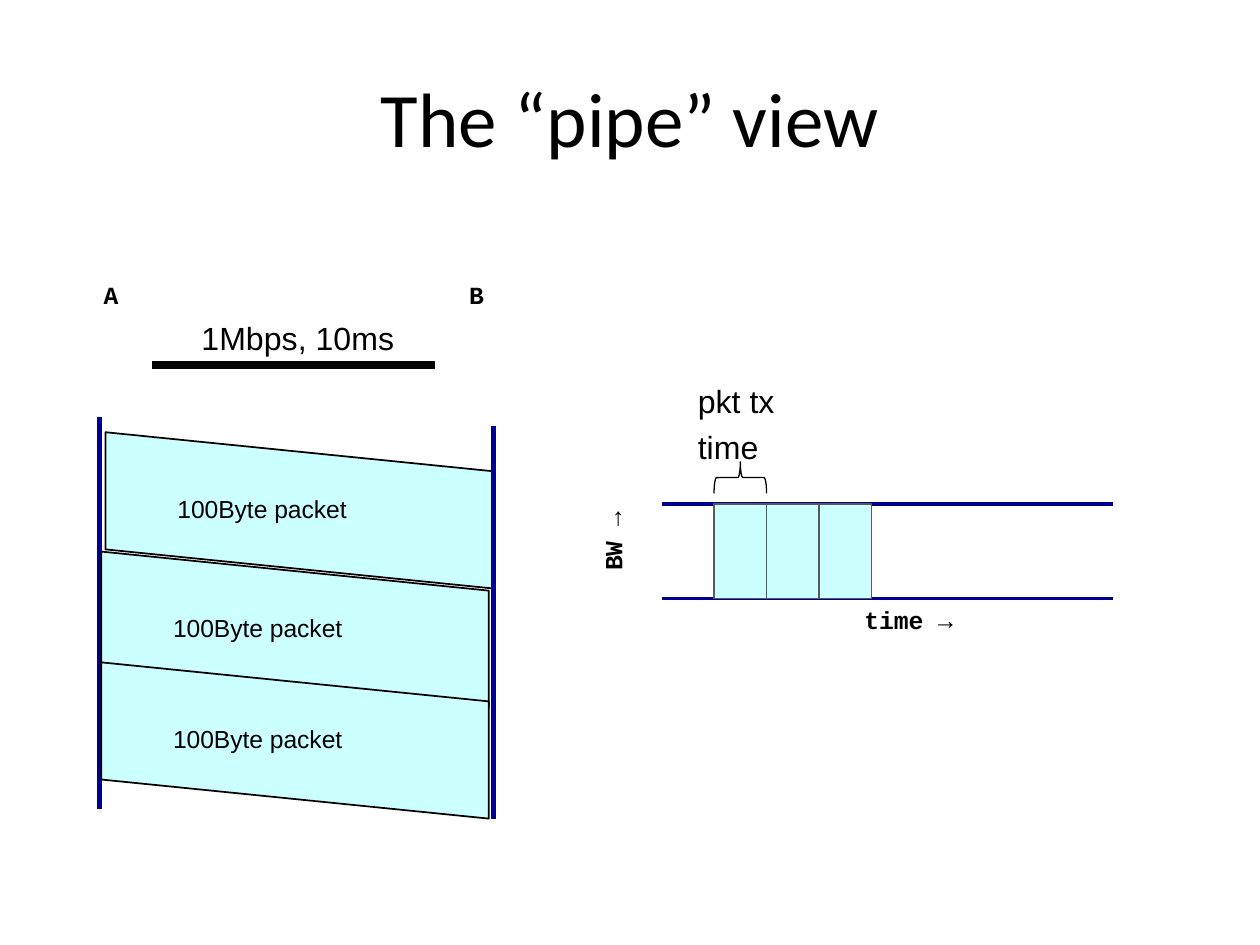
from lxml.etree import SubElement
from pptx import Presentation
from pptx.dml.color import RGBColor
from pptx.enum.shapes import MSO_CONNECTOR, MSO_SHAPE
from pptx.enum.text import MSO_ANCHOR, PP_ALIGN
from pptx.oxml.ns import qn
from pptx.util import Pt

BLACK = RGBColor(0x00, 0x00, 0x00)
NAVY = RGBColor(0x00, 0x00, 0x90)
CYAN = RGBColor(0xCC, 0xFF, 0xFF)
GRAY = RGBColor(0x59, 0x59, 0x59)


class PipeSlide:
    """Holds the style and the current slide; lengths are in points."""

    sans, mono, heading = "Arial", "Courier New", "Calibri"
    small, large, title_size = 14.1, 18.3, 44

    def __init__(self, presentation):
        self.slide = presentation.slides.add_slide(presentation.slide_layouts[5])

    def add_run(self, paragraph, text, size, font, bold=False):
        run = paragraph.add_run()
        run.text = text
        run.font.size = Pt(size)
        run.font.name = font
        run.font.bold = bold
        run.font.color.rgb = BLACK

    def title(self, text):
        shape = self.slide.shapes.title
        shape.left, shape.top, shape.width, shape.height = Pt(36), Pt(21.6), Pt(648), Pt(90)
        shape.text_frame.vertical_anchor = MSO_ANCHOR.MIDDLE
        paragraph = shape.text_frame.paragraphs[0]
        paragraph.alignment = PP_ALIGN.CENTER
        self.add_run(paragraph, text, self.title_size, self.heading)

    def text(self, lines, left, top, width, height, size, spacing=None):
        box = self.slide.shapes.add_textbox(Pt(left), Pt(top), Pt(width), Pt(height))
        box.text_frame.word_wrap = False
        paragraph = box.text_frame.paragraphs[0]
        paragraph.line_spacing = spacing
        for index, line in enumerate(lines):
            if index:
                paragraph.add_line_break()
            self.add_run(paragraph, line, size, self.sans)
        return box

    def axis_label(self, text, left, top, width, rotation=0):
        box = self.slide.shapes.add_textbox(Pt(left), Pt(top), Pt(width), Pt(24.5))
        box.rotation = rotation
        box.text_frame.word_wrap = False
        paragraph = box.text_frame.paragraphs[0]
        paragraph.alignment = PP_ALIGN.RIGHT
        self.add_run(paragraph, text, self.small, self.mono, bold=True)

    def line(self, x1, y1, x2, y2, color, weight):
        connector = self.slide.shapes.add_connector(
            MSO_CONNECTOR.STRAIGHT, Pt(x1), Pt(y1), Pt(x2), Pt(y2))
        connector.line.color.rgb = color
        connector.line.width = Pt(weight)
        SubElement(connector._element.spPr, qn("a:effectLst"))

    def shape(self, kind, left, top, width, height, fill, color, weight, turned=False):
        """Draws a shape in its visible frame; a turned one is rotated by 90 degrees."""
        if turned:
            left, top = left + (width - height) / 2, top + (height - width) / 2
            width, height = height, width
        shape = self.slide.shapes.add_shape(kind, Pt(left), Pt(top), Pt(width), Pt(height))
        shape.rotation = 90 if turned else 0
        shape.shadow.inherit = False
        if fill is None:
            shape.fill.background()
        else:
            shape.fill.solid()
            shape.fill.fore_color.rgb = fill
        shape.line.color.rgb = color
        shape.line.width = Pt(weight)
        return shape

    def packet(self, left, top):
        shape = self.shape(MSO_SHAPE.PARALLELOGRAM, left, top, 221.5, 89.3,
                           CYAN, BLACK, 1, turned=True)
        shape.adjustments[0] = 0.25
        label = self.text(["100Byte packet"], left + 34, top + 31.5, 111, 24.5, self.small)
        label.text_frame.vertical_anchor = MSO_ANCHOR.MIDDLE


def main():
    presentation = Presentation()
    presentation.slide_width, presentation.slide_height = Pt(720), Pt(540)
    page = PipeSlide(presentation)
    page.title("The “pipe” view")

    # Link between the two hosts
    page.line(87.1, 208.8, 248.4, 208.8, BLACK, 4.5)
    page.axis_label("A", 51.8, 156.2, 23)
    page.axis_label("B", 260.6, 156.2, 23)
    page.text(["1Mbps, 10ms"], 108, 174.2, 135.4, 33.8, page.large, 1.2)

    # Packets travelling from A to B over time
    page.packet(60.3, 247)
    page.line(56.9, 238.3, 56.9, 462.2, NAVY, 3)
    page.line(282.2, 243.7, 282.2, 468, NAVY, 3)
    for top in (315.2, 378.5):
        page.packet(57.8, top)

    # Pipe with packets of equal width
    pipe_top, pipe_height, packet_width = 288, 54, 30
    for y in (pipe_top, pipe_top + pipe_height):
        page.line(378, y, 636, y, NAVY, 2.25)
    page.axis_label("time →", 481, 342, 70.6)
    page.axis_label("BW →", 323.3, 300.2, 54, rotation=270)
    for index in range(3):
        page.shape(MSO_SHAPE.RECTANGLE, 408 + index * packet_width, pipe_top,
                   packet_width, pipe_height, CYAN, GRAY, 0.75)

    # Transmission time of one packet
    page.text(["pkt tx", "time"], 391.7, 210.2, 69.1, 60.5, page.large, 1.2)
    brace = page.shape(MSO_SHAPE.LEFT_BRACE, 408, 263.9, packet_width, 18,
                       None, BLACK, 0.75, turned=True)
    brace.adjustments[0] = 0.08

    presentation.save("out.pptx")


if __name__ == "__main__":
    main()
